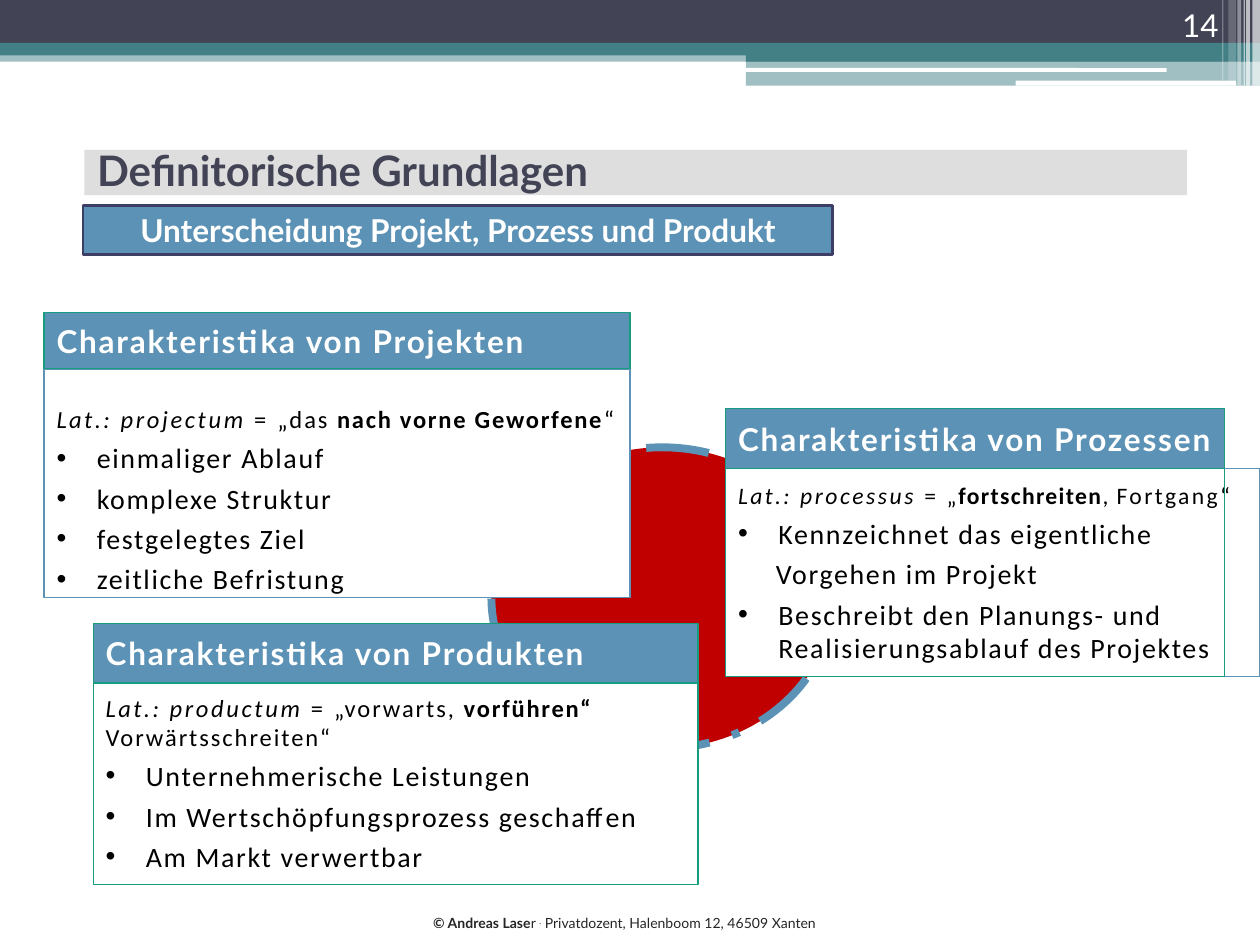
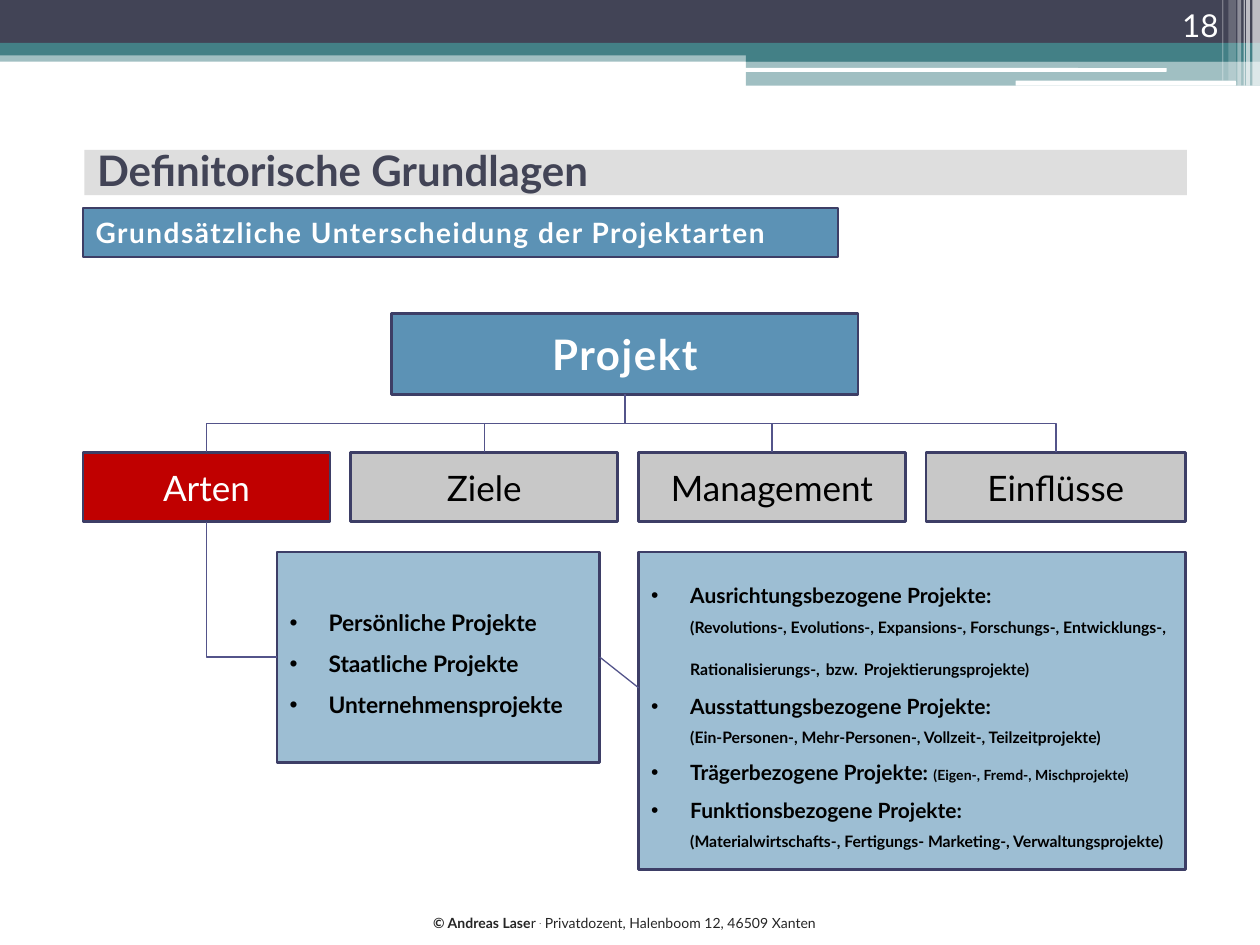
from dataclasses import dataclass

from lxml import etree
from pptx import Presentation
from pptx.dml.color import RGBColor
from pptx.enum.dml import MSO_LINE
from pptx.enum.shapes import MSO_CONNECTOR, MSO_SHAPE
from pptx.enum.text import MSO_ANCHOR, MSO_AUTO_SIZE, PP_ALIGN
from pptx.oxml.ns import qn
from pptx.util import Inches, Pt

RECT, ROUND, OVAL = MSO_SHAPE.RECTANGLE, MSO_SHAPE.ROUNDED_RECTANGLE, MSO_SHAPE.OVAL
TOP, MIDDLE, BOTTOM = MSO_ANCHOR.TOP, MSO_ANCHOR.MIDDLE, MSO_ANCHOR.BOTTOM
LEFT, CENTER, RIGHT = PP_ALIGN.LEFT, PP_ALIGN.CENTER, PP_ALIGN.RIGHT
SIDE_LEFT, SIDE_BOTTOM, SIDE_RIGHT = 1, 2, 3
COLS, ROWS = 100, 75
CELL = Inches(0.1)


@dataclass(frozen=True)
class Theme:
    navy: str = "424456"
    teal: str = "438086"
    blue: str = "5C92B5"
    pale_blue: str = "9DBED3"
    edge: str = "3D3E66"
    wire: str = "53548A"
    green: str = "179C7D"
    red: str = "C00000"
    grey: str = "C8C8C8"
    band: str = "DEDEDE"
    white: str = "FFFFFF"
    black: str = "000000"
    footer: str = "262626"
    font: str = "Lato"
    body_font: str = "Calibri"
    title_size: float = 24
    node_size: float = 20
    head_size: float = 18
    body_size: float = 16
    origin_size: float = 14
    kind_size: float = 13
    group_size: float = 12
    detail_size: float = 9
    small_size: float = 8


T = Theme()


@dataclass(frozen=True)
class Box:
    """An area in grid cells."""
    x: float
    y: float
    w: float
    h: float

    def inner(self, dx, dy, w, h):
        return Box(self.x + dx, self.y + dy, w, h)

    def emu(self):
        return [cells(v) for v in (self.x, self.y, self.w, self.h)]


def cells(n):
    return int(n * CELL)


def rgb(value):
    return RGBColor.from_string(value)


def shape(slide, box, fill=None, line=None, width=1.5, kind=RECT, alpha=100):
    sp = slide.shapes.add_shape(kind, *box.emu())
    sp.shadow.inherit = False
    if fill:
        sp.fill.solid()
        sp.fill.fore_color.rgb = rgb(fill)
        if alpha < 100:
            color = sp.element.spPr.find(qn("a:solidFill"))[0]
            etree.SubElement(color, qn("a:alpha"), val=str(alpha * 1000))
    else:
        sp.fill.background()
    if line:
        sp.line.color.rgb = rgb(line)
        sp.line.width = Pt(width)
    else:
        sp.line.fill.background()
    return sp


def frame(sp, anchor=MIDDLE, left=1, top=0.5, right=1):
    """Set wrapping, anchor and insets (in cells), and return the text frame."""
    tf = sp.text_frame
    tf.word_wrap, tf.auto_size, tf.vertical_anchor = True, MSO_AUTO_SIZE.NONE, anchor
    tf.margin_left, tf.margin_top, tf.margin_right = map(cells, (left, top, right))
    return tf


def format_run(r, size, color, font=T.font, bold=False, italic=False, spc=0, base=0):
    f = r.font
    f.size, f.name, f.bold, f.italic = Pt(size), font, bold, italic
    f.color.rgb = rgb(color)
    rpr = r._r.get_or_add_rPr()
    if spc:
        rpr.set("spc", str(round(spc * 100)))
    if base:
        rpr.set("baseline", str(base * 1000))


def write(tf, runs, align=LEFT, margin=0, bullet=False, before=0, spacing=None, **font):
    """Add a paragraph; runs are a text or (text, overrides) pairs, None is a line break."""
    p = tf.add_paragraph() if tf.text else tf.paragraphs[0]
    p.alignment, p.space_before = align, Pt(before)
    if spacing:
        p.line_spacing = spacing
    ppr = p._p.get_or_add_pPr()
    ppr.set("marL", str(cells(margin)))
    ppr.set("indent", str(-cells(margin) if bullet else 0))
    if bullet:
        etree.SubElement(ppr, qn("a:buFont"), typeface="Arial")
        etree.SubElement(ppr, qn("a:buChar"), char="•")
    for text, change in [(runs, {})] if isinstance(runs, str) else runs:
        if text is None:
            p.add_line_break()
            etree.SubElement(p._p[-1], qn("a:rPr"), sz=str(font["size"] * 100))
            continue
        r = p.add_run()
        r.text = text
        format_run(r, **{**font, **change})


def label(slide, box, text, fill, color=T.white, size=T.node_size, align=CENTER, **font):
    sp = shape(slide, box, fill, T.edge)
    write(frame(sp), text, align, size=size, color=color, **font)
    return sp


def header_bands(slide):
    parts = [
        shape(slide, Box(0, 4, COLS, 0.9), T.teal, alpha=50),
        shape(slide, Box(0, 0, COLS, 3.4), T.navy),
        shape(slide, Box(0, 3.4, COLS, 1), T.teal),
        shape(slide, Box(59.2, 3.9, 40.8, 1), T.teal),
        shape(slide, Box(59.2, 4.8, 40.8, 2), T.teal, alpha=50),
        shape(slide, Box(59.1, 5.4, 33.5, 0.3), T.white, kind=ROUND),
        shape(slide, Box(80.6, 6.4, 17.5, 0.4), T.white, kind=ROUND),
    ]
    stripes = [(99.4, 0.6, 6.8, 65), (98.9, 0.3, 6.8, 65), (98.7, 0.1, 6.8, 60),
               (98.2, 0.3, 6.8, 40), (97.5, 0.6, 6.4, 20), (97, 0.1, 6.4, 30)]
    for x, w, h, alpha in stripes:
        parts.append(shape(slide, Box(x, 0, w, h), T.white, alpha=alpha))
    return parts


def footer(slide):
    sp = slide.shapes.add_textbox(*Box(33.4, 72.1, 34, 2.4).emu())
    write(frame(sp, TOP),
          [("© Andreas Lase", {"bold": True}), ("r ", {}), (".", {"base": 30}),
           (" Privatdozent, Halenboom 12, 46509 Xanten", {})],
          size=T.small_size, color=T.footer)
    return sp


def furnish_layout(layout, slide):
    """Move the shared bands and footer, drawn on the slide, to its layout."""
    for ph in list(layout.placeholders):
        if ph.placeholder_format.idx:
            layout.shapes.element.remove(ph.element)
    title_band = shape(slide, Box(6.7, 11.9, 87.5, 3.6), T.band)
    for sp in [*header_bands(slide), footer(slide), title_band]:
        layout.shapes.element.append(sp.element)


def title_and_number(slide, number):
    title = slide.shapes.title
    title.left, title.top, title.width, title.height = Box(6.7, 7.6, 88.4, 11.7).emu()
    write(frame(title), "Definitorische Grundlagen",
          size=T.title_size, color=T.navy, bold=True)
    sp = slide.shapes.add_textbox(*Box(89.4, 0, 8.3, 4).emu())
    write(frame(sp, BOTTOM), str(number), RIGHT, size=T.head_size, color=T.white)


def card(slide, box, head, title, origin, points, line, top, outline=None,
         origin_size=T.origin_size):
    """A titled card; outline is the width of an inner green outline."""
    outer = outline or box.w
    sp = shape(slide, box.inner(0, 0, outer, head), T.blue, T.green, 0.75)
    write(frame(sp, right=0), title, size=T.head_size, color=T.white, bold=True, spc=1.05)
    body = box.inner(0, head, box.w, box.h - head)
    sp = shape(slide, body, T.white, line, 0.75)
    if outline:
        shape(slide, body.inner(0, 0, outline, body.h), line=T.green, width=0.75)
    tf = frame(sp, TOP, top=top, right=0.2)
    font = {"color": T.black, "font": T.body_font}
    write(tf, origin, size=origin_size, spc=1.1, **font)
    for text, bullet in points:
        write(tf, text, margin=3.2 if bullet else 3, bullet=bullet, before=3.9,
              size=T.body_size, spc=0.95, **font)


def origin(word, *meaning):
    return [("Lat.: ", {"italic": True, "spc": 1.4}), (word, {"italic": True, "spc": 1.5}),
            (" = ", {"spc": 1.5}), *meaning]


def bullets(*texts):
    return [(text, True) for text in texts]


def distinction_slide(slide):
    label(slide, Box(6.6, 16.3, 59.5, 3.9), "Unterscheidung Projekt, Prozess und Produkt",
          T.blue, size=T.head_size, bold=True)
    hub = shape(slide, Box(39, 35.5, 27.1, 23.9), T.red, T.blue, 4.5, OVAL)
    hub.line.dash_style = MSO_LINE.LONG_DASH_DOT
    strong = {"bold": True, "spc": 1}
    card(slide, Box(57.6, 32.4, 42.4, 21.3), 4.8, "Charakteristika von Prozessen",
         origin("processus", ("„", {}), ("fortschreiten", {"bold": True, "spc": 0.8}),
                (", ", {"spc": 0.8}), ("Fortgang“", {"spc": 1.4})),
         [("Kennzeichnet das eigentliche", True), ("Vorgehen im Projekt", False),
          ("Beschreibt den Planungs- und Realisierungsablauf des Projektes", True)],
         T.blue, 1, outline=39.6, origin_size=13.5)
    card(slide, Box(3.5, 24.8, 46.5, 22.6), 4.5, "Charakteristika von Projekten",
         origin("projectum", ("„das ", {}), ("nach vorne Geworfene", strong), ("“", {})),
         bullets("einmaliger Ablauf", "komplexe Struktur", "festgelegtes Ziel",
                 "zeitliche Befristung"),
         T.blue, 2.8)
    card(slide, Box(7.4, 49.5, 48, 20.7), 4.7, "Charakteristika von Produkten",
         origin("productum", ("„vorwarts, ", {}), ("vorführen“ ", strong),
                ("Vorwärtsschreiten“", {})),
         bullets("Unternehmerische Leistungen", "Im Wertschöpfungsprozess geschaffen",
                 "Am Markt verwertbar"),
         T.green, 0.8)


def wire(slide, kind, x1, y1, x2, y2):
    cxn = slide.shapes.add_connector(kind, x1, y1, x2, y2)
    cxn.line.color.rgb = rgb(T.wire)
    cxn.line.width = Pt(0.75)
    etree.SubElement(cxn.element.spPr, qn("a:effectLst"))
    return cxn


def elbow(slide, start, end, end_side=0):
    """Join the bottom of start to the top or left side of end, leaving downwards."""
    x1, y1 = start.left + start.width // 2, start.top + start.height
    to_left = end_side == SIDE_LEFT
    x2 = end.left + (0 if to_left else end.width // 2)
    y2 = end.top + (end.height // 2 if to_left else 0)
    cxn = wire(slide, MSO_CONNECTOR.ELBOW, x1, y1, x2, y2)
    cxn.begin_connect(start, SIDE_BOTTOM)
    cxn.end_connect(end, end_side)
    if to_left:
        cxn.element.spPr.find(qn("a:prstGeom")).set("prst", "bentConnector2")
    dx, dy = abs(x2 - x1), y2 - y1
    cxn.width, cxn.height = dy, dx
    cxn.left, cxn.top = (x1 + x2 - dy) // 2, (y1 + y2 - dx) // 2
    xfrm = cxn.element.spPr.find(qn("a:xfrm"))
    xfrm.set("rot", str((270 if x2 > x1 else 90) * 60000))
    xfrm.set("flipH", "1" if x2 > x1 else "0")


def branch_row(slide, box, branches):
    """Labels of given widths, spread over the box with equal gaps."""
    gap = (box.w - sum(w for _, w in branches)) / (len(branches) - 1)
    x, nodes = 0, []
    for i, (text, w) in enumerate(branches):
        fill, color = (T.grey, T.black) if i else (T.red, T.white)
        nodes.append(label(slide, box.inner(x, 0, w, box.h), text, fill, color))
        x += w + gap
    return nodes


def bullet_panel(slide, box, items, size):
    sp = shape(slide, box, T.pale_blue, T.edge)
    tf = frame(sp)
    for item in items:
        write(tf, item, margin=3.1, bullet=True, spacing=1.5,
              size=size, color=T.black, bold=True)
    return sp


def project_types_slide(slide):
    label(slide, Box(6.6, 16.5, 59.9, 3.9), "Grundsätzliche Unterscheidung der Projektarten",
          T.blue, size=T.body_size, align=LEFT, bold=True, spc=0.9)
    root = label(slide, Box(31.1, 24.9, 37, 6.4), "Projekt", T.blue,
                 size=T.title_size, bold=True, spc=0.9)
    tree = Box(6.6, 35.9, 87.5, 33.1)
    nodes = branch_row(slide, tree.inner(0, 0, tree.w, 5.5),
                       [("Arten", 19.6), ("Ziele", 21.2), ("Management", 21.2),
                        ("Einflüsse", 20.6)])
    kinds = bullet_panel(slide, tree.inner(15.4, 7.9, 25.6, 16.7),
                         ["Persönliche Projekte", "Staatliche Projekte",
                          "Unternehmensprojekte"], T.kind_size)
    for node in nodes:
        elbow(slide, root, node)
    elbow(slide, nodes[0], kinds, SIDE_LEFT)
    detail, gap, br = {"size": T.detail_size}, (" ", {"size": T.origin_size}), (None, {})
    groups = [
        [("Ausrichtungsbezogene Projekte:", {}), br,
         ("(Revolutions-, Evolutions-, Expansions-, Forschungs-, Entwicklungs-, "
          "Rationalisierungs-,", detail), gap, ("bzw.", detail), gap,
         ("Projektierungsprojekte)", detail)],
        [("Ausstattungsbezogene Projekte:", {}), br,
         ("(Ein-Personen-, Mehr-Personen-, Vollzeit-, Teilzeitprojekte)", detail)],
        [("Trägerbezogene Projekte: ", {}),
         ("(Eigen-, Fremd-, Mischprojekte)", {"size": T.small_size})],
        [("Funktionsbezogene Projekte:", {}), br,
         ("(Materialwirtschafts-, Fertigungs- Marketing-, Verwaltungsprojekte)", detail)],
    ]
    panel = bullet_panel(slide, tree.inner(44.1, 7.9, 43.4, 25.2), groups, T.group_size)
    link = wire(slide, MSO_CONNECTOR.STRAIGHT, kinds.left + kinds.width,
                kinds.top + kinds.height // 2, panel.left, cells(54.6))
    link.begin_connect(kinds, SIDE_RIGHT)


def main():
    prs = Presentation()
    prs.slide_width, prs.slide_height = cells(COLS), cells(ROWS)
    layout = prs.slide_layouts.get_by_name("Title Only")
    pages = [(14, distinction_slide), (18, project_types_slide)]
    for i, (number, build) in enumerate(pages):
        slide = prs.slides.add_slide(layout)
        if i == 0:
            furnish_layout(layout, slide)
        title_and_number(slide, number)
        build(slide)
    prs.save("out.pptx")


if __name__ == "__main__":
    main()
